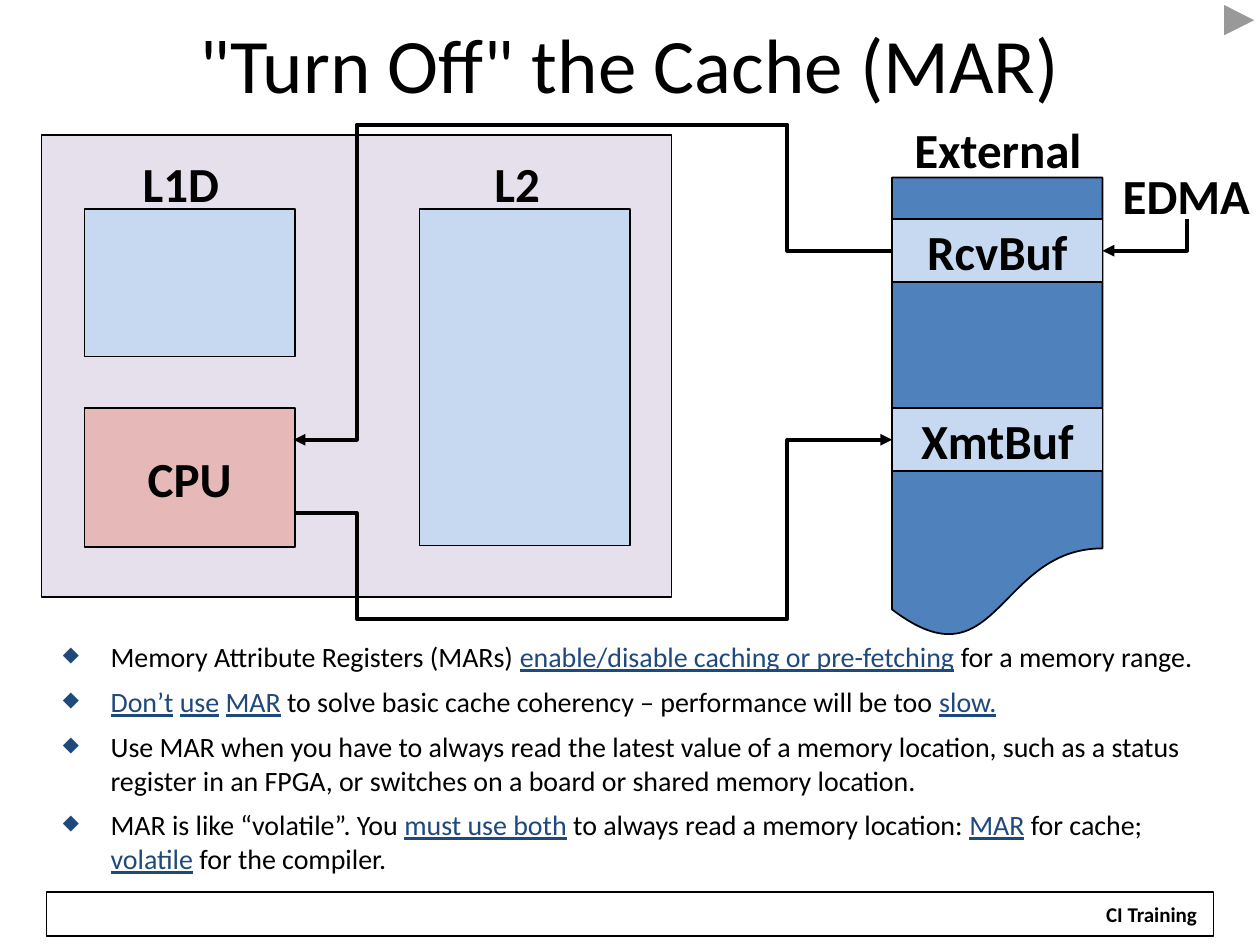
from dataclasses import dataclass
from lxml.etree import SubElement
from pptx import Presentation
from pptx.dml.color import RGBColor
from pptx.enum.shapes import MSO_CONNECTOR, MSO_SHAPE
from pptx.enum.text import MSO_ANCHOR, PP_ALIGN
from pptx.oxml.ns import qn
from pptx.util import Inches, Pt

BLACK, WHITE, NAVY = "000000", "FFFFFF", "1F497D"
LILAC, PALE, ROSE, BLUE = "E6E0EC", "C6D9F1", "E6B9B8", "4F81BD"
FONT = "Calibri"


@dataclass
class Box:
    left: float
    top: float
    width: float
    height: float
    fill: str | None = None
    text: str = ""
    line: float = 1
    kind: MSO_SHAPE = MSO_SHAPE.RECTANGLE

    def area(self) -> list:
        return [Inches(n) for n in (self.left, self.top, self.width, self.height)]


def hue(code: str) -> RGBColor:
    return RGBColor.from_string(code)


def write(frame, text: str, *, size: float = 28, bold: bool = True,
          wrap: bool = False, align=PP_ALIGN.CENTER, side: float = 0.1,
          anchor=MSO_ANCHOR.MIDDLE, bullet: str = "", gap: float = 0) -> None:
    """Write one paragraph per line; parts between bars are key words."""
    frame.word_wrap = wrap
    frame.vertical_anchor = anchor
    frame.margin_left = frame.margin_right = Inches(side)
    for row, line in enumerate(text.split("\n")):
        para = frame.paragraphs[0] if row == 0 else frame.add_paragraph()
        if bullet:
            mark(para, bullet)
        para.alignment = align
        if row:
            para.space_before = Pt(gap)
        for part, words in enumerate(line.split("|")):
            if not words:
                continue
            key = part % 2 == 1
            run = para.add_run()
            run.text = words
            font = run.font
            font.name, font.size, font.bold = FONT, Pt(size), bold
            font.underline = key
            font.color.rgb = hue(NAVY if key else BLACK)


def mark(para, sign: str) -> None:
    props = para._p.get_or_add_pPr()
    props.set("marL", str(Inches(0.38)))
    props.set("indent", str(-Inches(0.38)))
    tint = SubElement(props, qn("a:buClr"))
    SubElement(tint, qn("a:srgbClr"), val=NAVY)
    SubElement(props, qn("a:buSzPct"), val="75000")
    SubElement(props, qn("a:buChar"), char=sign)


def draw(slide, box: Box, **style) -> None:
    shape = slide.shapes.add_shape(box.kind, *box.area())
    shape.shadow.inherit = False
    if box.fill:
        shape.fill.solid()
        shape.fill.fore_color.rgb = hue(box.fill)
    else:
        shape.fill.background()
    if box.line:
        shape.line.color.rgb = hue(BLACK)
        shape.line.width = Pt(box.line)
    else:
        shape.line.fill.background()
    if box.text:
        write(shape.text_frame, box.text, **style)


def label(slide, box: Box, **style) -> None:
    write(slide.shapes.add_textbox(*box.area()).text_frame, box.text, **style)


def arrow(shape) -> None:
    shape.line.color.rgb = hue(BLACK)
    shape.line.width = Pt(2.25)
    SubElement(shape.line._get_or_add_ln(), qn("a:tailEnd"), type="triangle")


def route(slide, *points: tuple[float, float]) -> None:
    first, *rest = [(Inches(x), Inches(y)) for x, y in points]
    pen = slide.shapes.build_freeform(*first)
    pen.add_line_segments(rest, close=False)
    shape = pen.convert_to_shape()
    shape.shadow.inherit = False
    shape.fill.background()
    arrow(shape)


def elbow(slide, start: tuple[float, float], end: tuple[float, float]) -> None:
    """Go down from start, then left to end: a one-bend line turned 90 degrees."""
    across, down = start[0] - end[0], end[1] - start[1]
    mid_x, mid_y = (start[0] + end[0]) / 2, (start[1] + end[1]) / 2
    line = slide.shapes.add_connector(
        MSO_CONNECTOR.ELBOW,
        Inches(mid_x - down / 2), Inches(mid_y - across / 2),
        Inches(mid_x + down / 2), Inches(mid_y + across / 2))
    props = line._element.spPr
    props.find(qn("a:xfrm")).set("rot", "5400000")
    props.find(qn("a:prstGeom")).set("prst", "bentConnector2")
    arrow(line)
    SubElement(props, qn("a:effectLst"))


NOTES = """\
Memory Attribute Registers (MARs) |enable/disable caching or pre-fetching| for a memory range.
|Don’t| |use| |MAR| to solve basic cache coherency – performance will be too |slow.|
Use MAR when you have to always read the latest value of a memory location, such as a status \
register in an FPGA, or switches on a board or shared memory location.
MAR is like “volatile”. You |must use both| to always read a memory location: |MAR| for cache; \
|volatile| for the compiler."""


def main() -> None:
    deck = Presentation()
    deck.slide_width, deck.slide_height = Inches(10), Inches(7.5)
    slide = deck.slides.add_slide(deck.slide_layouts[6])

    # Footer and title
    draw(slide, Box(0.37, 7.08, 9.26, 0.35, line=0.75))
    draw(slide, Box(8.67, 7.11, 0.94, 0.3, WHITE, "CI Training", line=0),
         size=12, anchor=MSO_ANCHOR.TOP)
    label(slide, Box(0.5, 0.08, 9, 0.83, text='"Turn Off" the Cache (MAR)'),
          size=44, bold=False, wrap=True)

    # Memory blocks, back to front
    for box in (
        Box(7.08, 1.41, 1.67, 3.67, BLUE, kind=MSO_SHAPE.FLOWCHART_DOCUMENT),
        Box(0.33, 1.07, 5, 3.67, LILAC),
        Box(3.33, 1.66, 1.67, 2.67, PALE),
        Box(0.67, 3.24, 1.67, 1.1, ROSE, "CPU"),
        Box(0.67, 1.66, 1.67, 1.17, PALE),
        Box(7.08, 1.74, 1.67, 0.5, PALE, "RcvBuf"),
        Box(7.08, 3.24, 1.67, 0.5, PALE, "XmtBuf"),
    ):
        draw(slide, box)

    # Block names, each on one line
    for left, top, wide, high, name in (
        (3.52, 1.18, 1.17, 0.55, "L2"),
        (7.17, 0.91, 1.5, 0.55, "External"),
        (0.85, 1.18, 1.17, 0.55, "L1D"),
        (8.83, 1.36, 1.17, 0.38, "EDMA"),
    ):
        label(slide, Box(left, top, wide, high, text=name), side=0)

    # Data paths that go round the caches
    elbow(slide, (9.42, 1.74), (8.75, 1.99))
    route(slide, (7.08, 1.99), (6.25, 1.99), (6.25, 0.99),
          (2.83, 0.99), (2.83, 3.49), (2.33, 3.49))
    route(slide, (2.33, 4.07), (2.83, 4.07), (2.83, 4.91),
          (6.25, 4.91), (6.25, 3.49), (7.08, 3.49))

    # Notes on use
    label(slide, Box(0.4, 5.03, 9.4, 2.04, text=NOTES), size=16, bold=False,
          wrap=True, align=PP_ALIGN.LEFT, anchor=MSO_ANCHOR.TOP,
          bullet="◆", gap=6.4)

    # Next button
    draw(slide, Box(9.67, 0, 0.33, 0.32, WHITE, line=0,
                    kind=MSO_SHAPE.ACTION_BUTTON_FORWARD_OR_NEXT))
    deck.save("out.pptx")


if __name__ == "__main__":
    main()
